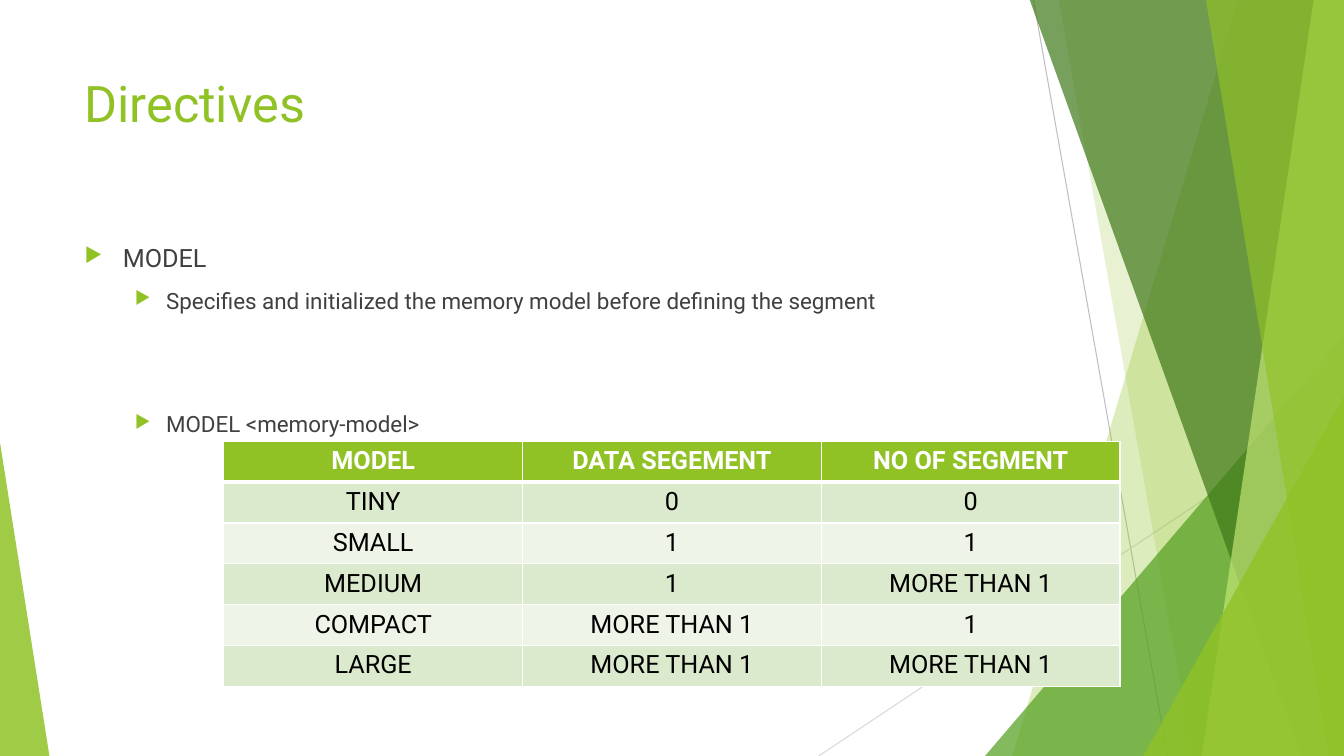
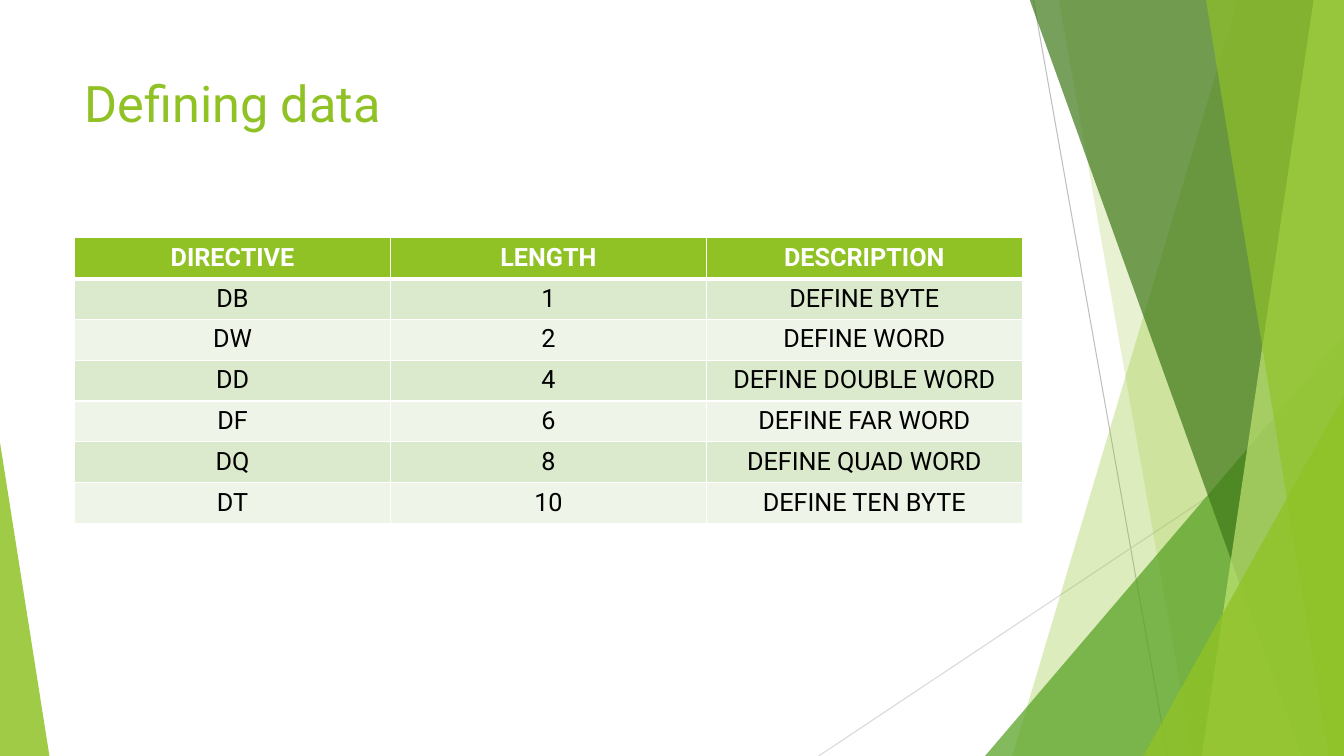
"""Build two slides on assembler directives with a shared faceted green design."""
from dataclasses import dataclass

from lxml.etree import SubElement
from pptx import Presentation
from pptx.dml.color import RGBColor as Rgb
from pptx.enum.shapes import MSO_CONNECTOR as Connector, MSO_SHAPE as Shape
from pptx.enum.text import MSO_ANCHOR as Anchor, PP_ALIGN as Align
from pptx.oxml.ns import qn
from pptx.util import Inches, Pt


@dataclass(frozen=True)
class Theme:
    """Colours, type sizes and shared measures of the deck."""
    font: str = "Roboto"
    lime: str = "90C226"
    leaf: str = "54A021"
    forest: str = "3F7819"
    pale: str = "C0E474"
    text: str = "404040"
    white: str = "FFFFFF"
    black: str = "000000"
    bands: tuple = ("DBE9CD", "EEF4E8")
    rules: tuple = ("BFBFBF", "D9D9D9")
    title_size: int = 36
    body_sizes: tuple = (18, 16)
    table_size: int = 18
    indents: tuple = ((0.38, -0.38), (0.81, -0.31))
    row_height: int = Inches(2.43) // 6


THEME = Theme()
WIDTH, HEIGHT, BLEED = 13.33, 7.5, -0.01


def apply_format(target, values):
    """Set each named attribute on the target."""
    for name, value in values.items():
        setattr(target, name, value)


def write(paragraph, text, size, color, bold=False):
    """Add one formatted run to a paragraph."""
    run = paragraph.add_run()
    run.text = text
    apply_format(run.font, {"name": THEME.font, "size": Pt(size), "bold": bold})
    run.font.color.rgb = Rgb.from_string(color)


def paint(shape, color, opacity):
    """Give a shape a translucent fill with neither line nor shadow."""
    shape.shadow.inherit = False
    shape.line.fill.background()
    shape.fill.solid()
    shape.fill.fore_color.rgb = Rgb.from_string(color)
    shade = shape._element.spPr.find(qn("a:solidFill")).find(qn("a:srgbClr"))
    SubElement(shade, qn("a:alpha"), val=str(opacity * 1000))


def add_facet(slide, top_x, bottom_x, color, opacity):
    """Draw a full-height facet from a slanted left edge to the slide's right edge."""
    corners = [(WIDTH, BLEED), (WIDTH, HEIGHT), (bottom_x, HEIGHT)]
    outline = slide.shapes.build_freeform(Inches(top_x), Inches(BLEED))
    outline.add_line_segments([(Inches(x), Inches(y)) for x, y in corners], close=True)
    paint(outline.convert_to_shape(), color, opacity)


def add_corner(slide, left, top, width, apex, color, opacity):
    """Draw a right triangle that stands on the bottom edge."""
    corner = slide.shapes.add_shape(
        Shape.ISOSCELES_TRIANGLE,
        Inches(left), Inches(top), Inches(width), Inches(HEIGHT - top))
    corner.adjustments[0] = apex
    paint(corner, color, opacity)


def add_rule(slide, start, end, color):
    """Draw a thin straight line."""
    rule = slide.shapes.add_connector(
        Connector.STRAIGHT, *(Inches(value) for value in start + end))
    rule.line.width = Pt(0.75)
    rule.line.color.rgb = Rgb.from_string(color)
    SubElement(rule._element.spPr, qn("a:effectLst"))


def add_backdrop(slide):
    """Draw the decoration that every slide shares."""
    add_rule(slide, (10.25, 0), (11.58, HEIGHT), THEME.rules[0])
    add_rule(slide, (WIDTH, 4.03), (8.12, HEIGHT), THEME.rules[1])
    add_facet(slide, 12.28, 10.04, THEME.lime, 30)
    add_facet(slide, 10.5, 11.83, THEME.lime, 20)
    add_corner(slide, 9.77, 3.33, 3.56, 1, THEME.leaf, 72)
    add_facet(slide, 10.21, 12.91, THEME.forest, 70)
    add_facet(slide, 13.03, 11.92, THEME.pale, 70)
    add_facet(slide, 11.96, 13.18, THEME.lime, 65)
    add_corner(slide, 11.34, 3.93, 1.99, 1, THEME.lime, 80)
    add_corner(slide, 0, 4.39, 0.49, 0, THEME.lime, 85)


def add_text_frame(slide, top, height):
    """Add a wrapping text box in the main column."""
    box = slide.shapes.add_textbox(
        Inches(0.74), Inches(top), Inches(9.4), Inches(height))
    apply_format(box.text_frame, {"word_wrap": True, "vertical_anchor": Anchor.TOP})
    return box.text_frame


def add_bullet(paragraph, level):
    """Give a paragraph its hanging indent and green arrow bullet."""
    margin, hang = THEME.indents[level]
    properties = paragraph._p.get_or_add_pPr()
    properties.set("marL", str(Inches(margin)))
    properties.set("indent", str(Inches(hang)))
    color = SubElement(properties, qn("a:buClr"))
    SubElement(color, qn("a:srgbClr"), val=THEME.lime)
    SubElement(properties, qn("a:buSzPct"), val="80000")
    SubElement(properties, qn("a:buChar"), char="\u25b6")


def add_outline(slide, items):
    """Write bulleted items given as level, space before and text."""
    frame = add_text_frame(slide, 2.36, 4.24)
    for index, (level, space, text) in enumerate(items):
        paragraph = frame.add_paragraph() if index else frame.paragraphs[0]
        apply_format(paragraph, {"level": level, "space_before": Pt(space)})
        add_bullet(paragraph, level)
        write(paragraph, text, THEME.body_sizes[level], THEME.text)


def add_borders(cell, row):
    """Draw white cell borders, heavier beneath the header row."""
    widths = {"L": 1, "R": 1, "T": 3 if row == 1 else 1, "B": 3 if row == 0 else 1}
    properties = cell._tc.get_or_add_tcPr()
    for side, width in widths.items():
        border = SubElement(properties, qn(f"a:ln{side}"), w=str(Pt(width)))
        fill = SubElement(border, qn("a:solidFill"))
        SubElement(fill, qn("a:srgbClr"), val=THEME.white)


def add_grid(slide, left, top, width, rows):
    """Add a banded table whose first row is the header."""
    grid = slide.shapes.add_table(
        len(rows), len(rows[0]), Inches(left), Inches(top), Inches(width),
        THEME.row_height * len(rows)).table
    for row, values in enumerate(rows):
        grid.rows[row].height = THEME.row_height
        header = row == 0
        band = THEME.lime if header else THEME.bands[(row - 1) % 2]
        ink = THEME.white if header else THEME.black
        for column, text in enumerate(values):
            cell = grid.cell(row, column)
            add_borders(cell, row)
            cell.fill.solid()
            cell.fill.fore_color.rgb = Rgb.from_string(band)
            paragraph = cell.text_frame.paragraphs[0]
            paragraph.alignment = Align.CENTER
            write(paragraph, text, THEME.table_size, ink, header)


def add_titled_slide(deck, title):
    """Add a blank slide with the shared backdrop and a title."""
    slide = deck.slides.add_slide(deck.slide_layouts[6])
    add_backdrop(slide)
    heading = add_text_frame(slide, 0.67, 1.44).paragraphs[0]
    write(heading, title, THEME.title_size, THEME.lime)
    return slide


def main():
    """Build and save the deck."""
    deck = Presentation()
    apply_format(deck, {"slide_width": Inches(WIDTH), "slide_height": Inches(HEIGHT)})

    directives = add_titled_slide(deck, "Directives")
    add_outline(directives, [
        (0, 10, "MODEL"),
        (1, 10, "Specifies and initialized the memory model before defining the segment"),
        (1, 69, "MODEL <memory-model>"),
    ])
    add_grid(directives, 2.22, 4.38, 8.89, [
        ("MODEL", "DATA SEGEMENT", "NO OF SEGMENT"),
        ("TINY", "0", "0"),
        ("SMALL", "1", "1"),
        ("MEDIUM", "1", "MORE THAN 1"),
        ("COMPACT", "MORE THAN 1", "1"),
        ("LARGE", "MORE THAN 1", "MORE THAN 1"),
    ])

    data_sizes = add_titled_slide(deck, "Defining data")
    add_grid(data_sizes, 0.74, 2.36, 9.4, [
        ("DIRECTIVE", "LENGTH", "DESCRIPTION"),
        ("DB", "1", "DEFINE BYTE"),
        ("DW", "2", "DEFINE WORD"),
        ("DD", "4", "DEFINE DOUBLE WORD"),
        ("DF", "6", "DEFINE FAR WORD"),
        ("DQ", "8", "DEFINE QUAD WORD"),
        ("DT", "10", "DEFINE TEN BYTE"),
    ])
    deck.save("out.pptx")


main()
